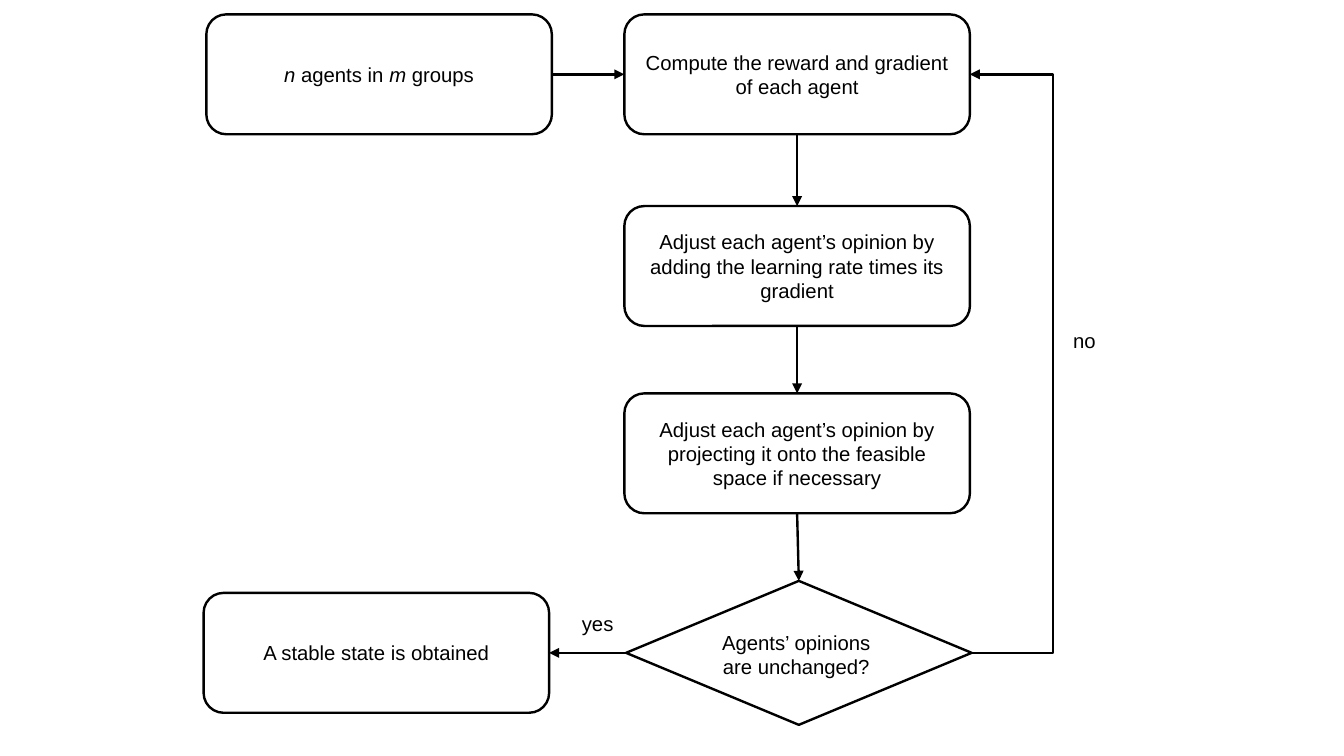
from dataclasses import dataclass

from lxml.etree import SubElement
from pptx import Presentation
from pptx.dml.color import RGBColor
from pptx.enum.shapes import MSO_CONNECTOR, MSO_SHAPE
from pptx.enum.text import MSO_ANCHOR, PP_ALIGN
from pptx.oxml.ns import qn
from pptx.shapes.autoshape import Shape
from pptx.shapes.connector import Connector
from pptx.slide import Slide
from pptx.text.text import TextFrame
from pptx.util import Pt

COLOURS = {"ink": "000000", "paper": "FFFFFF"}
INK = RGBColor.from_string(COLOURS["ink"])
FONT, FONT_SIZE, LINE_WIDTH = "Arial", 12, 1.42
STEP_WIDTH, STEP_HEIGHT, DECISION_HEIGHT = 204, 70.8, 85
TOP, LEFT, BOTTOM, RIGHT = range(4)

Run = tuple[str, bool]  # text, italic


@dataclass(frozen=True)
class Step:
    left: float
    top: float
    lines: list[list[Run]]
    kind: MSO_SHAPE = MSO_SHAPE.ROUNDED_RECTANGLE
    height: float = STEP_HEIGHT


@dataclass(frozen=True)
class Label:
    left: float
    top: float
    width: float
    height: float
    lines: list[list[Run]]


@dataclass(frozen=True)
class Arrow:
    source: str
    source_side: int
    target: str
    target_side: int


STEPS = {
    "agents": Step(121.8, 8.5, [[("n", True), (" agents in ", False), ("m", True), (" groups", False)]]),
    "stable": Step(120.2, 350.1, [[("A stable state is obtained", False)]]),
    "reward": Step(368.6, 8.5, [[("Compute the reward and gradient of each agent", False)]]),
    "learning": Step(368.6, 121.7, [[(
        "Adjust each agent’s opinion by adding the learning rate times its gradient", False)]]),
    "projection": Step(368.6, 232.3, [[(
        "Adjust each agent’s opinion by projecting it onto the feasible space if necessary", False)]]),
    "decision": Step(369.6, 343, [], MSO_SHAPE.DIAMOND, DECISION_HEIGHT),
}

LABELS = [
    Label(331.6, 357.1, 42.5, 22, [[("yes", False)]]),
    Label(620.4, 190.1, 39.6, 22, [[("no", False)]]),
    Label(406, 368.6, 128.2, 34, [[("Agents’ opinions", False)], [("are unchanged?", False)]]),
]

ARROWS = [
    Arrow("agents", RIGHT, "reward", LEFT),
    Arrow("reward", BOTTOM, "learning", TOP),
    Arrow("learning", BOTTOM, "projection", TOP),
    Arrow("projection", BOTTOM, "decision", TOP),
    Arrow("decision", LEFT, "stable", RIGHT),
]
REPEAT_LOOP = Arrow("decision", RIGHT, "reward", RIGHT)
LOOP_X = 622.1


def write(frame: TextFrame, lines: list[list[Run]], margin_x: float, margin_y: float) -> None:
    frame.word_wrap = True
    frame.margin_left = frame.margin_right = Pt(margin_x)
    frame.margin_top = frame.margin_bottom = Pt(margin_y)
    for index, runs in enumerate(lines):
        paragraph = frame.add_paragraph() if index else frame.paragraphs[0]
        paragraph.alignment = PP_ALIGN.CENTER
        for text, italic in runs:
            run = paragraph.add_run()
            run.text = text
            run.font.name, run.font.size = FONT, Pt(FONT_SIZE)
            run.font.italic = italic
            run.font.color.rgb = INK


def draw_step(slide: Slide, step: Step) -> Shape:
    box = slide.shapes.add_shape(
        step.kind, Pt(step.left), Pt(step.top), Pt(STEP_WIDTH), Pt(step.height))
    box.shadow.inherit = False
    box.fill.background()
    box.line.color.rgb, box.line.width = INK, Pt(LINE_WIDTH)
    box.text_frame.vertical_anchor = MSO_ANCHOR.MIDDLE
    write(box.text_frame, step.lines, 7.9, 4.3)
    return box


def draw_label(slide: Slide, label: Label) -> None:
    box = slide.shapes.add_textbox(
        Pt(label.left), Pt(label.top), Pt(label.width), Pt(label.height))
    write(box.text_frame, label.lines, 7.2, 3.6)


def draw_arrow(slide: Slide, boxes: dict[str, Shape], arrow: Arrow,
               kind: MSO_CONNECTOR = MSO_CONNECTOR.STRAIGHT) -> Connector:
    connector = slide.shapes.add_connector(kind, Pt(0), Pt(0), Pt(0), Pt(0))
    connector.begin_connect(boxes[arrow.source], arrow.source_side)
    connector.end_connect(boxes[arrow.target], arrow.target_side)
    connector.line.color.rgb, connector.line.width = INK, Pt(LINE_WIDTH)
    SubElement(connector.line._get_or_add_ln(), qn("a:tailEnd"), type="triangle")
    SubElement(connector._element.spPr, qn("a:effectLst"))
    return connector


def draw_loop(slide: Slide, boxes: dict[str, Shape], arrow: Arrow, bend_x: float) -> None:
    loop = draw_arrow(slide, boxes, arrow, MSO_CONNECTOR.ELBOW)
    # The bend is a share of the distance from begin to end
    bend = (Pt(bend_x) - loop.begin_x) / (loop.end_x - loop.begin_x)
    adjustments = loop._element.spPr.find(qn("a:prstGeom")).get_or_add_avLst()
    SubElement(adjustments, qn("a:gd"), name="adj1", fmla=f"val {round(bend * 100000)}")


def main() -> None:
    presentation = Presentation()
    presentation.slide_width, presentation.slide_height = Pt(793.44), Pt(446.4)
    slide = presentation.slides.add_slide(presentation.slide_layouts[6])
    slide.background.fill.solid()
    slide.background.fill.fore_color.rgb = RGBColor.from_string(COLOURS["paper"])

    # Steps and decision
    boxes = {key: draw_step(slide, step) for key, step in STEPS.items()}

    # Flow, with the loop back while opinions still change
    for arrow in ARROWS:
        draw_arrow(slide, boxes, arrow)
    draw_loop(slide, boxes, REPEAT_LOOP, LOOP_X)

    # Decision question and answers
    for label in LABELS:
        draw_label(slide, label)

    presentation.save("out.pptx")


if __name__ == "__main__":
    main()
